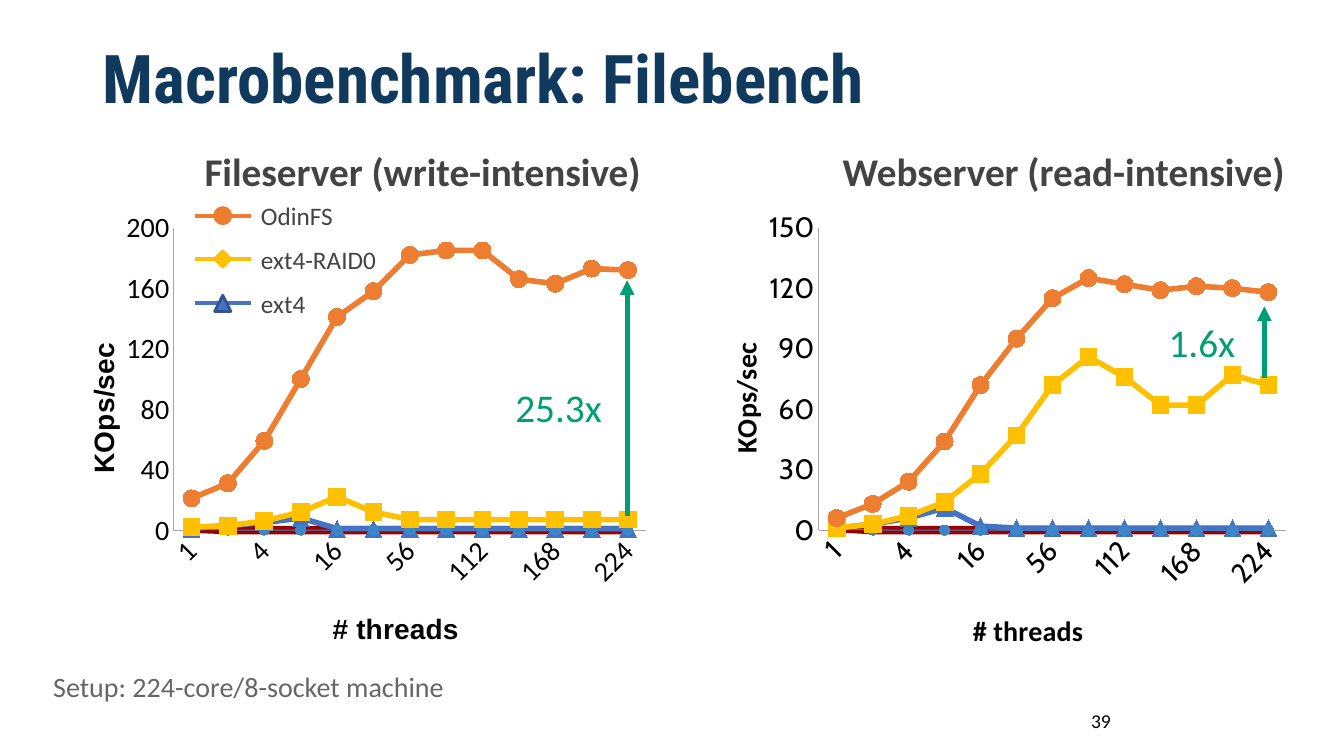
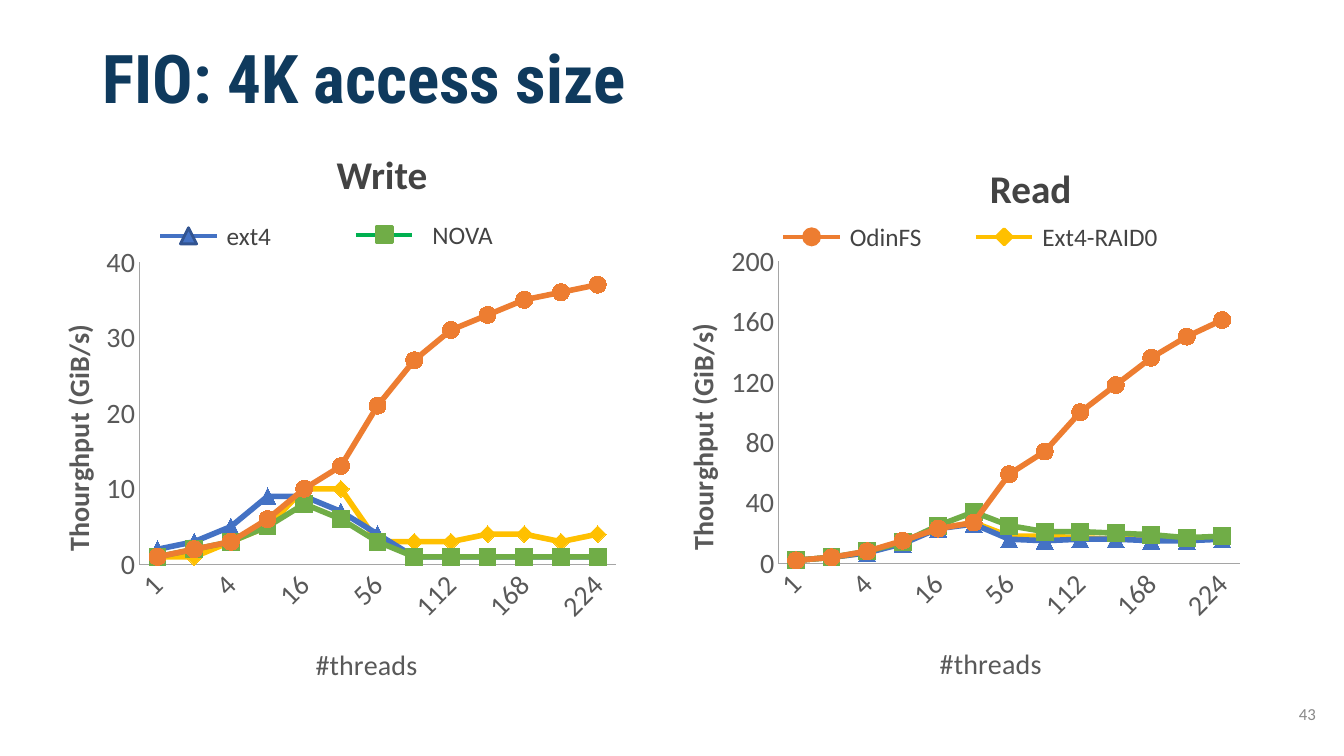
from dataclasses import dataclass

from lxml import etree
from pptx import Presentation
from pptx.chart.data import CategoryChartData
from pptx.dml.color import RGBColor
from pptx.enum import chart as charts, shapes, text
from pptx.oxml.ns import qn
from pptx.util import Pt

PX = 9144  # 100 px to the inch
CHART_W, CHART_H = 598, 461
PLOT_TOP, PLOT_RIGHT, PLOT_H = 27, 586, 300
THREADS_Y = 402
KEY_W, MARKER = 56, 16
LINE_H = 57


@dataclass(frozen=True)
class Theme:
    heading: str = "Roboto Condensed"
    body: str = "Calibri"
    navy: str = "0F3A5D"
    dark: str = "434343"
    gray: str = "666666"
    axis_gray: str = "595959"
    pale: str = "888888"
    black: str = "000000"
    axis_line: str = "A5A5A5"
    speedup: str = "009E73"
    orange: str = "ED7D31"
    yellow: str = "FFC000"
    blue: str = "4472C4"
    blue_edge: str = "325491"
    green: str = "70AD47"
    green_line: str = "00B050"
    red: str = "990000"
    sky: str = "3D85C6"
    title: int = 48
    subtitle: int = 28
    note: int = 20
    legend: int = 18
    small: int = 14
    tiny: int = 12
    curve: int = 4


T = Theme()
THREADS = [2 ** power for power in range(5)] + list(range(28, 225, 28))

# series name: colour, line width, marker
STYLES = {
    "Series 1": (T.red, 6, "NONE"),
    "Series 3": (T.sky, 0.75, "CIRCLE"),
    "ext4": (T.blue, T.curve, "TRIANGLE"),
    "ext4-RAID0": (T.yellow, T.curve, "SQUARE"),
    "Ext4-RAID0": (T.yellow, T.curve, "DIAMOND"),
    "NOVA": (T.green, T.curve, "SQUARE"),
    "OdinFS": (T.orange, T.curve, "CIRCLE"),
}

# legend name: marker shape, fill, marker edge, line
KEYS = {
    "OdinFS": ("OVAL", T.orange, T.orange, T.orange),
    "ext4-RAID0": ("DIAMOND", T.yellow, T.yellow, T.yellow),
    "Ext4-RAID0": ("DIAMOND", T.yellow, T.yellow, T.yellow),
    "ext4": ("ISOSCELES_TRIANGLE", T.blue, T.blue_edge, T.blue),
    "NOVA": ("RECTANGLE", T.green, T.green, T.green_line),
}

# rate_at and threads_x are measured from the chart's corner
FILEBENCH = dict(
    kind=charts.XL_CHART_TYPE.LINE, color=T.black, bold_threads=True,
    threads="# threads", threads_x=270, rate="KOps/sec", rate_at=(25, 136))
FIO = dict(
    kind=charts.XL_CHART_TYPE.LINE_MARKERS, color=T.axis_gray, bold_threads=False,
    threads="#threads", threads_x=283, rate="Thourghput (GiB/s)", rate_at=(28, 84),
    title_font=T.body, tick_font=T.body)


def held(*values):
    """Repeat the last value up to the highest thread count."""
    return list(values) + [values[-1]] * (len(THREADS) - len(values))


def first_only(value):
    return [value] + [None] * (len(THREADS) - 1)


SLIDES = [
    dict(
        title="Macrobenchmark: Filebench",
        charts=[
            dict(FILEBENCH, at=(55, 199), inset=117, step=40, steps=5,
                 title_font="Arial", tick_font=T.body,
                 series={
                     "Series 1": first_only(1),
                     "ext4": held(1, 3, 5, 8, 1),
                     "Series 3": first_only(1),
                     "ext4-RAID0": held(2, 3, 6, 12, 22, 12, 7),
                     "OdinFS": [21, 31, 59, 100, 141, 158, 182, 185, 185, 166, 163, 173, 172],
                 }),
            dict(FILEBENCH, at=(690, 199), inset=122, step=30, steps=5,
                 title_font=T.body, tick_font="Cabin",
                 series={
                     "Series 1": first_only(1),
                     "ext4": held(1, 3, 6, 11, 2, 1),
                     "Series 3": first_only(1),
                     "ext4-RAID0": [1, 3, 7, 14, 28, 47, 72, 86, 76, 62, 62, 77, 72],
                     "OdinFS": [6, 13, 24, 44, 72, 95, 115, 125, 122, 119, 121, 120, 118],
                 }),
        ],
        subtitles=[("Fileserver (write-intensive)", 193, 141),
                   ("Webserver (read-intensive)", 826, 141)],
        legend=[("OdinFS", 193, 214), ("ext4-RAID0", 193, 257), ("ext4", 193, 301)],
        # factor, label left and top, arrow x, tip and tail
        speedups=[("25.3x", 495, 375, 622, 278, 512),
                  ("1.6x", 1133, 311, 1254, 304, 375)],
        setup="Setup: 224-core/8-socket machine",
        number=("39", (942, 695, 300, 40), T.small, T.black, "CENTER"),
    ),
    dict(
        title="FIO: 4K access size",
        charts=[
            dict(FIO, at=(25, 233), inset=113, step=10, steps=4,
                 series={
                     "Ext4-RAID0": [1, 1, 3, 5, 10, 10, 3, 3, 3, 4, 4, 3, 4],
                     "ext4": held(2, 3, 5, 9, 9, 7, 4, 1),
                     "NOVA": held(1, 2, 3, 5, 8, 6, 3, 1),
                     "OdinFS": [1, 2, 3, 6, 10, 13, 21, 27, 31, 33, 35, 36, 37],
                 }),
            dict(FIO, at=(644, 232), inset=128, step=40, steps=5,
                 series={
                     "Ext4-RAID0": [2, 4, 7, 14, 23, 27, 18, 18, 17, 16, 17, 17, 16],
                     "ext4": [2, 4, 7, 13, 23, 26, 16, 15, 16, 16, 15, 15, 16],
                     "NOVA": [2, 4, 8, 14, 25, 34, 25, 21, 21, 20, 19, 17, 18],
                     "OdinFS": [2, 4, 8, 15, 23, 27, 59, 74, 100, 118, 136, 150, 161],
                 }),
        ],
        subtitles=[("Write", 324, 144), ("Read", 972, 158)],
        legend=[("ext4", 159, 234), ("NOVA", 353, 233, 10),
                ("OdinFS", 777, 235), ("Ext4-RAID0", 968, 235)],
        speedups=[],
        setup=None,
        number=("43", (1235, 680, 80, LINE_H), T.tiny, T.pale, "RIGHT"),
    ),
]


def px(*lengths):
    return [round(length * PX) for length in lengths]


def rgb(color):
    return RGBColor.from_string(color)


def set_font(font, size, color, name=T.body, bold=False):
    font.size, font.name, font.bold = Pt(size), name, bold
    font.color.rgb = rgb(color)


def add_text(slide, words, box, size, color, name=T.body, bold=False,
             align="LEFT", middle=False, spacing=None):
    frame = slide.shapes.add_textbox(*px(*box)).text_frame
    frame.word_wrap = True
    if middle:
        frame.vertical_anchor = text.MSO_ANCHOR.MIDDLE
    paragraph = frame.paragraphs[0]
    paragraph.text = words
    paragraph.alignment = text.PP_ALIGN[align]
    if spacing:
        paragraph.line_spacing = spacing
    set_font(paragraph.font, size, color, name, bold)


def add_line(slide, start, end, color, width, arrow=False):
    line = slide.shapes.add_connector(shapes.MSO_CONNECTOR.STRAIGHT, *px(*start, *end))
    line.line.color.rgb = rgb(color)
    line.line.width = Pt(width)
    if arrow:
        etree.SubElement(line.line._get_or_add_ln(), qn("a:headEnd"), type="triangle")
    etree.SubElement(line._element.spPr, qn("a:effectLst"))


def add_key(slide, name, x, y, gap=0):
    """Draw one legend entry: line, marker on its middle, label."""
    marker, fill, edge, line = KEYS[name]
    add_line(slide, (x, y), (x + KEY_W, y), line, 3)
    corner = (x + (KEY_W - MARKER) / 2, y - MARKER / 2)
    shape = slide.shapes.add_shape(shapes.MSO_SHAPE[marker], *px(*corner, MARKER, MARKER))
    shape.shadow.inherit = False
    shape.fill.solid()
    shape.fill.fore_color.rgb = rgb(fill)
    shape.line.color.rgb = rgb(edge)
    shape.line.width = Pt(2)
    add_text(slide, name, (x + KEY_W + gap, y - 20, 152, 40), T.legend, T.dark)


def place(parent, index, x, y, size=None):
    """Fix a chart part, in px from the chart's corner; a size means the plot."""
    values = {"x": x / CHART_W, "y": y / CHART_H}
    old = parent.find(qn("c:layout"))
    if old is not None:
        parent.remove(old)
    layout = etree.Element(qn("c:layout"))
    parent.insert(index, layout)
    manual = etree.SubElement(layout, qn("c:manualLayout"))
    if size:
        values |= {"w": size[0] / CHART_W, "h": size[1] / CHART_H}
        etree.SubElement(manual, qn("c:layoutTarget"), val="inner")
    for key in "xy":
        etree.SubElement(manual, qn(f"c:{key}Mode"), val="edge")
    for key, value in values.items():
        etree.SubElement(manual, qn(f"c:{key}"), val=f"{value:.4f}")


def turn(body, degrees):
    body.set("rot", str(degrees * 60000))
    body.set("vert", "horz")


def style_axis(axis, item, words, at, bold):
    axis.has_major_gridlines = False
    axis.major_tick_mark = axis.minor_tick_mark = charts.XL_TICK_MARK.NONE
    axis.format.line.color.rgb = rgb(T.axis_line)
    axis.format.line.width = Pt(0.75)
    set_font(axis.tick_labels.font, T.note, item["color"], item["tick_font"])
    frame = axis.axis_title.text_frame
    frame.text = words
    set_font(frame.paragraphs[0].font, T.note, item["color"], item["title_font"], bold)
    place(axis.axis_title._element, 1, *at)


def add_line_chart(slide, item):
    data = CategoryChartData()
    data.categories = [str(count) for count in THREADS]
    for name, values in item["series"].items():
        data.add_series(name, values)
    box = px(*item["at"], CHART_W, CHART_H)
    chart = slide.shapes.add_chart(item["kind"], *box, data).chart
    chart.has_legend = chart.has_title = False
    set_font(chart.font, 10, T.black, "Arial")
    root = chart._chartSpace.chart
    root.find(qn("c:dispBlanksAs")).set("val", "zero")
    inset = item["inset"]
    place(root.plotArea, 0, inset, PLOT_TOP, (PLOT_RIGHT - inset, PLOT_H))

    threads, rate = chart.category_axis, chart.value_axis
    style_axis(threads, item, item["threads"], (item["threads_x"], THREADS_Y),
               item["bold_threads"])
    style_axis(rate, item, item["rate"], item["rate_at"], True)
    turn(rate.axis_title.text_frame._txBody.find(qn("a:bodyPr")), -90)
    turn(threads._element.find(qn("c:txPr")).find(qn("a:bodyPr")), -45)
    rate.minimum_scale, rate.major_unit = 0, item["step"]
    rate.maximum_scale = item["step"] * item["steps"]
    skip = etree.Element(qn("c:tickLblSkip"), val="2")
    threads._element.find(qn("c:noMultiLvlLbl")).addprevious(skip)

    chart.plots[0].vary_by_categories = False
    for series in chart.plots[0].series:
        color, width, marker = STYLES[series.name]
        series.smooth = False
        series.format.line.color.rgb = rgb(color)
        series.format.line.width = Pt(width)
        series.marker.style = charts.XL_MARKER_STYLE[marker]
        if marker != "NONE":
            series.marker.size = 12 if width == T.curve else 7
            series.marker.format.fill.solid()
            series.marker.format.fill.fore_color.rgb = rgb(color)
            series.marker.format.line.color.rgb = rgb(color)


def build_slide(deck, content):
    slide = deck.slides.add_slide(deck.slide_layouts[6])
    for item in content["charts"]:
        add_line_chart(slide, item)
    add_text(slide, content["title"], (92, 38, 1163, 87), T.title, T.navy, T.heading,
             bold=True, middle=True, spacing=0.9)
    for words, x, y in content["subtitles"]:
        add_text(slide, words, (x, y, 471, LINE_H), T.subtitle, T.dark, bold=True)
    for key in content["legend"]:
        add_key(slide, *key)
    for factor, left, top, x, tip, tail in content["speedups"]:
        add_line(slide, (x, tip), (x, tail), T.speedup, 3.5, arrow=True)
        add_text(slide, factor, (left, top, 118, LINE_H), T.subtitle, T.speedup,
                 align="CENTER")
    if content["setup"]:
        add_text(slide, content["setup"], (37, 665, 419, 31), T.note, T.gray,
                 align="CENTER", middle=True)
    number, box, size, color, align = content["number"]
    add_text(slide, number, box, size, color, align=align, middle=True)


def main():
    deck = Presentation()
    deck.slide_width, deck.slide_height = px(1333, 750)
    for content in SLIDES:
        build_slide(deck, content)
    deck.save("out.pptx")


if __name__ == "__main__":
    main()
